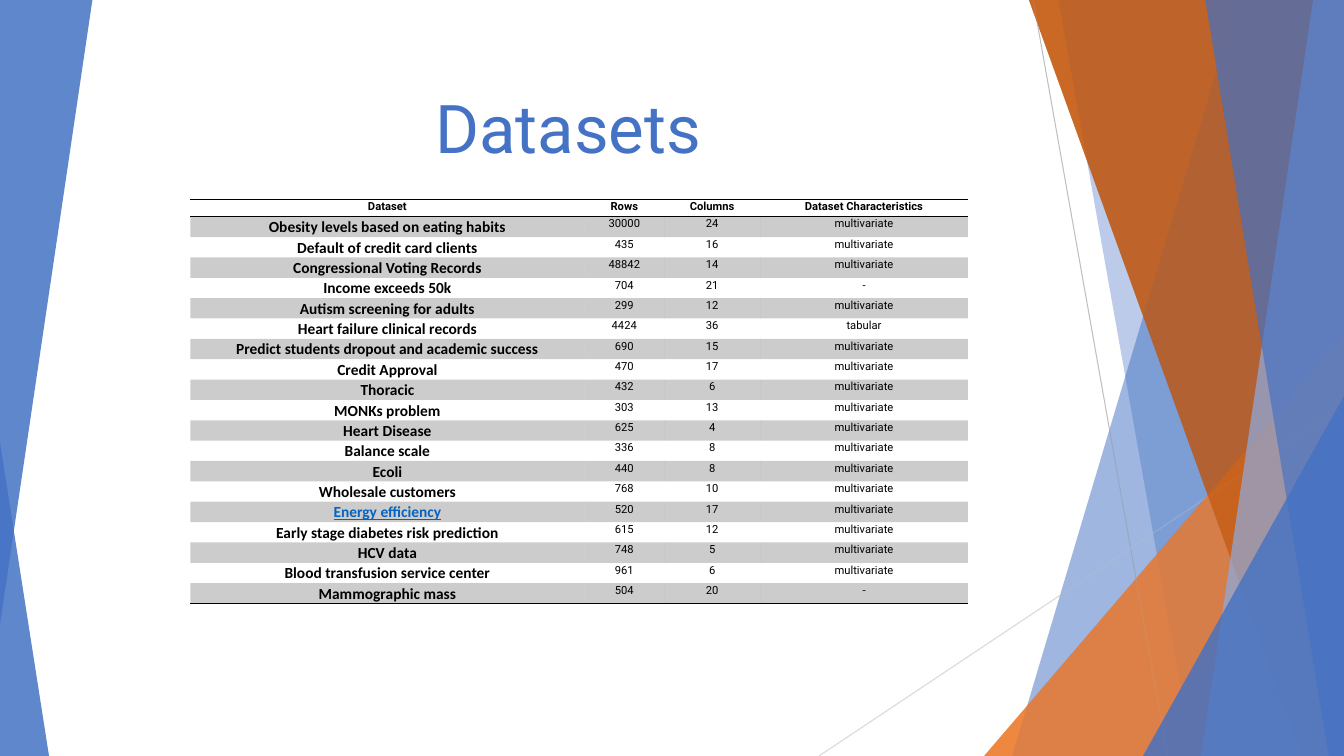
from lxml import etree
from pptx import Presentation
from pptx.dml.color import RGBColor
from pptx.enum.shapes import MSO_CONNECTOR, MSO_SHAPE
from pptx.enum.text import MSO_ANCHOR, MSO_AUTO_SIZE, PP_ALIGN
from pptx.oxml.ns import qn
from pptx.util import Pt

STRAIGHT = MSO_CONNECTOR.STRAIGHT
TRIANGLE = MSO_SHAPE.ISOSCELES_TRIANGLE
BOTTOM = MSO_ANCHOR.BOTTOM
NO_FIT = MSO_AUTO_SIZE.NONE
CENTER = PP_ALIGN.CENTER
PLAIN_TABLE = "{2D5ABB26-0587-4C30-8999-92F81FD0307C}"

COLORS = {
    "blue": "4472C4",
    "pale_blue": "8FAADC",
    "orange": "ED7D31",
    "rust": "C55A11",
    "mid_grey": "BFBFBF",
    "light_grey": "D9D9D9",
    "black": "000000",
    "link": "0563C1",
}

HEADINGS = ("Dataset", "Rows", "Columns", "Dataset Characteristics")
COLUMN_WIDTHS = (281.5, 57, 68.5, 148.5)
DATASETS = (
    ("Obesity levels based on eating habits", "30000", "24", "multivariate"),
    ("Default of credit card clients", "435", "16", "multivariate"),
    ("Congressional Voting Records", "48842", "14", "multivariate"),
    ("Income exceeds 50k", "704", "21", "-"),
    ("Autism screening for adults", "299", "12", "multivariate"),
    ("Heart failure clinical records", "4424", "36", "tabular"),
    ("Predict students dropout and academic success", "690", "15", "multivariate"),
    ("Credit Approval", "470", "17", "multivariate"),
    ("Thoracic", "432", "6", "multivariate"),
    ("MONKs problem", "303", "13", "multivariate"),
    ("Heart Disease", "625", "4", "multivariate"),
    ("Balance scale", "336", "8", "multivariate"),
    ("Ecoli", "440", "8", "multivariate"),
    ("Wholesale customers", "768", "10", "multivariate"),
    ("Energy efficiency", "520", "17", "multivariate"),
    ("Early stage diabetes risk prediction", "615", "12", "multivariate"),
    ("HCV data", "748", "5", "multivariate"),
    ("Blood transfusion service center", "961", "6", "multivariate"),
    ("Mammographic mass", "504", "20", "-"),
)
LINKED_DATASET = "Energy efficiency"


def rgb(color):
    return RGBColor.from_string(COLORS[color])


def paint(fill, properties, color, opacity):
    fill.solid()
    fill.fore_color.rgb = rgb(color)
    tint = properties.find(qn("a:solidFill"))[0]
    etree.SubElement(tint, qn("a:alpha"), val=str(opacity * 1000))


def finish(shape, color, opacity):
    shape.shadow.inherit = False
    shape.line.fill.background()
    paint(shape.fill, shape._element.spPr, color, opacity)


def write(frame, text, size=8, font="Roboto", color="black", bold=False,
          underline=False, spacing=1.0):
    paragraph = frame.paragraphs[0]
    paragraph.alignment = CENTER
    paragraph.line_spacing = spacing
    run = paragraph.add_run()
    run.text = text
    run.font.size = Pt(size)
    run.font.name = font
    run.font.color.rgb = rgb(color)
    run.font.bold = bold
    run.font.underline = underline


def add_wedge(slide, box, color, opacity, apex, rotation=0):
    wedge = slide.shapes.add_shape(TRIANGLE, *map(Pt, box))
    wedge.adjustments[0] = apex
    wedge.rotation = rotation
    finish(wedge, color, opacity)


def add_panel(slide, box, top_x, bottom_x, color, opacity):
    left, top, width, height = box
    right, bottom = left + width, top + height
    outline = slide.shapes.build_freeform(Pt(left + top_x), Pt(top))
    corners = ((right, top), (right, bottom), (left + bottom_x, bottom))
    outline.add_line_segments([(Pt(x), Pt(y)) for x, y in corners])
    finish(outline.convert_to_shape(), color, opacity)


def add_right_facets(slide, box):
    left, top, width, height = box

    def corner_wedge(wedge_width, wedge_height, color, opacity):
        corner = (left + width - wedge_width, top + height - wedge_height,
                  wedge_width, wedge_height)
        add_wedge(slide, corner, color, opacity, apex=1)

    add_panel(slide, box, 181, 20, "blue", 30)
    add_panel(slide, box, 53, 149, "blue", 20)
    corner_wedge(257, 300, "orange", 72)
    add_panel(slide, box, 32, 227, "rust", 70)
    add_panel(slide, box, 235, 155, "pale_blue", 70)
    add_panel(slide, box, 158, 246, "blue", 65)
    corner_wedge(143.5, 257, "blue", 80)


def add_rays(slide, box):
    left, top, width, height = box
    right, bottom = left + width, top + height
    rays = (
        (left + 35, top, left + 131, bottom, "mid_grey"),
        (right, top + 290, right - 375, bottom, "light_grey"),
    )
    for *ends, color in rays:
        ray = slide.shapes.add_connector(STRAIGHT, *map(Pt, ends))
        ray.line.color.rgb = rgb(color)
        ray.line.width = Pt(0.75)
        etree.SubElement(ray._element.spPr, qn("a:effectLst"))


def add_title(slide, box):
    title = slide.shapes.title
    title.left, title.top, title.width, title.height = map(Pt, box)
    title.text_frame.auto_size = NO_FIT
    title.text_frame.vertical_anchor = BOTTOM
    write(title.text_frame, "Datasets", size=48, color="blue")


def add_rule(cell, side):
    rule = etree.SubElement(cell._tc.get_or_add_tcPr(), qn(f"a:{side}"),
                            w=str(Pt(1)))
    ink = etree.SubElement(rule, qn("a:solidFill"))
    etree.SubElement(ink, qn("a:srgbClr"), val=COLORS["black"])


def format_cell(cell, text, row, column):
    is_heading = row == 0
    is_name = column == 0 and not is_heading
    inset = Pt(5 if is_name else 3)
    cell.margin_left = cell.margin_right = inset
    cell.margin_top = cell.margin_bottom = 0
    if is_heading:
        add_rule(cell, "lnT")
    if row in (0, len(DATASETS)):
        add_rule(cell, "lnB")
    if row % 2:
        paint(cell.fill, cell._tc.tcPr, "black", 20)
    else:
        cell.fill.background()
    linked = text == LINKED_DATASET
    write(cell.text_frame, text,
          size=11 if is_name else 8,
          font="Calibri" if is_name else "Roboto",
          color="link" if linked else "black",
          bold=is_heading or is_name, underline=linked, spacing=1.07)


def add_dataset_table(slide, box):
    records = (HEADINGS, *DATASETS)
    frame = slide.shapes.add_table(len(records), len(HEADINGS), *map(Pt, box))
    table = frame.table
    table.horz_banding = False
    table.first_row = False
    table._tbl.tblPr.find(qn("a:tableStyleId")).text = PLAIN_TABLE
    for column, width in zip(table.columns, COLUMN_WIDTHS):
        column.width = Pt(width)
    for row, record in enumerate(records):
        table.rows[row].height = Pt(box[3] / len(records))
        for column, text in enumerate(record):
            format_cell(table.cell(row, column), text, row, column)


def main():
    deck = Presentation()
    deck.slide_width, deck.slide_height = Pt(960), Pt(540)
    slide = deck.slides.add_slide(deck.slide_layouts[5])
    right_side = (703, 0, 257, 540)
    add_right_facets(slide, right_side)
    add_wedge(slide, (0, 316, 35, 224), "blue", 85, apex=0)
    add_rays(slide, right_side)
    add_right_facets(slide, right_side)
    add_wedge(slide, (0, 0, 66, 446), "blue", 85, apex=1, rotation=180)
    add_title(slide, (80, 37, 652, 86))
    add_dataset_table(slide, (136, 142.5, sum(COLUMN_WIDTHS), 246))
    deck.save("out.pptx")


if __name__ == "__main__":
    main()
